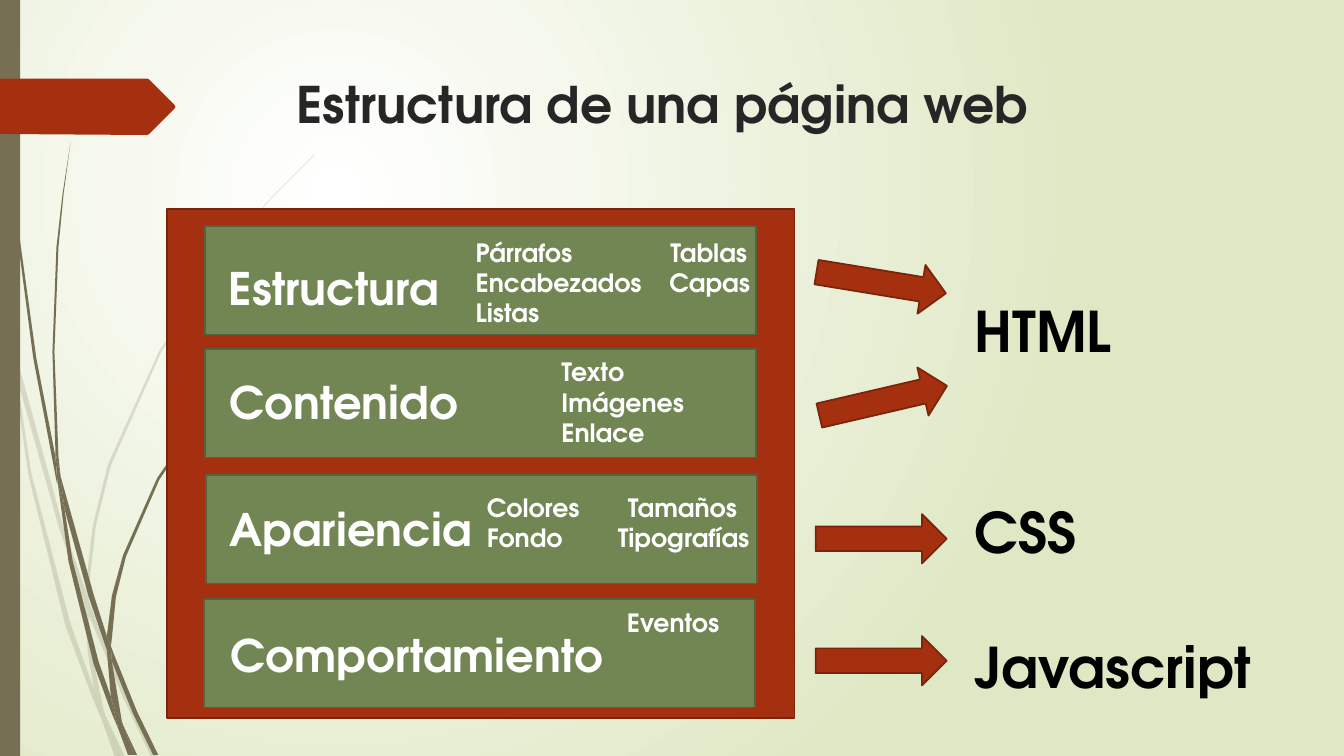
from dataclasses import dataclass

from lxml.etree import SubElement
from pptx import Presentation
from pptx.dml.color import RGBColor
from pptx.enum.shapes import MSO_SHAPE
from pptx.oxml.ns import qn
from pptx.shapes.autoshape import Shape
from pptx.slide import Slide
from pptx.util import Inches, Pt

COLORS = {
    "white": "FFFFFF", "mist": "DFE8C4", "stem": "766F54", "rust": "A53010",
    "rust_edge": "7A240C", "green": "728653", "green_edge": "54633D",
    "title": "262626", "black": "000000",
}
FONT = "TeX Gyre Adventor"


@dataclass
class Block:
    kind: MSO_SHAPE
    left: float
    top: float
    width: float
    height: float
    fill: str
    edge: str = ""
    rotation: float = 0


@dataclass
class Line:
    text: str
    tab: float = 0
    before: int = 0


@dataclass
class Label:
    left: float
    top: float
    width: float
    height: float
    size: int
    color: str
    lines: list[Line]


PALE_STEMS = [
    "0.11,3.5 0.09,3.22 0,2.82 0,2.99 0.1,3.44",
    "0.58,5.22 0.84,5.99 0.85,5.86 0.62,5.2 0.14,3.45 0.17,3.76",
    "0.92,6.07 0.88,5.96 0.88,6.1 1.23,6.94 1.5,7.51 1.55,7.51 1.27,6.92",
    "1.19,7.51 1.24,7.51 1.05,7.11",
    "0.93,6.83 0.7,6.19 0.31,4.69 0.17,3.76 0.11,3.5 0.28,4.7 0.65,6.21 0.92,6.93 1.01,7.14 0.99,7.07",
    "0.84,5.99 0.87,6.46 0.93,6.83 0.96,6.92 1.05,7.11 1.03,7.06 0.91,6.46 0.88,6.1",
    "0.88,5.84 0.95,5.22 1.1,4.62 1.6,3.49 2.29,2.45 2.68,1.98 3.12,1.54 3.12,1.53 "
    "2.68,1.97 2.28,2.44 1.58,3.48 1.07,4.61 0.92,5.22 0.85,5.84 0.88,5.96",
    "1.01,7.14 1.14,7.51 1.19,7.51",
    "0.88,6.08 0.88,5.96 0.85,5.86 0.84,5.99",
    "0.96,6.92 0.93,6.83 0.99,7.07 1.01,7.14 1.19,7.51 1.05,7.11",
]
DARK_STEMS = [
    "0.07,1.1 0.17,2.33 0.33,3.55 0.56,4.77 0.57,4.81 0.55,4.53 0.36,3.55 0.19,2.32 "
    "0.08,1.09 0.05,0.48 0.04,0 0.03,0 0.04,0.48",
    "0.88,5.92 1.06,6.45 1.06,6.31 0.93,5.9 0.6,4.72 0.64,5.05",
    "1.13,6.49 1.1,6.41 1.11,6.56 1.32,7.08 1.52,7.49 1.57,7.49 1.36,7.06",
    "1.1,6.91 0.98,6.57 0.72,5.56 0.64,5.05 0.57,4.77 0.68,5.57 0.93,6.59 1.11,7.08 1.17,7.22 1.16,7.17",
    "0.6,4.72 0.58,4.53 0.54,3.49 0.58,2.45 0.63,1.93 0.7,1.41 0.62,1.93 0.56,2.45 0.52,3.49 0.55,4.49",
    "1.33,7.49 1.36,7.49 1.22,7.19",
    "0.57,4.77 0.64,5.05 0.6,4.72 0.55,4.49 0.55,4.53",
    "1.11,6.33 1.15,5.92 1.25,5.52 1.58,4.76 2.05,4.06 2.31,3.74 2.61,3.44 2.6,3.44 "
    "2.31,3.73 2.04,4.05 1.56,4.74 1.22,5.51 1.11,5.91 1.06,6.31 1.1,6.41",
    "1.17,7.22 1.27,7.49 1.31,7.49",
    "1.06,6.45 1.1,6.91 1.16,7.06 1.22,7.19 1.21,7.16 1.11,6.56 1.09,6.51",
    "1.06,6.45 1.09,6.51 1.11,6.56 1.1,6.41 1.06,6.31",
    "1.16,7.06 1.1,6.91 1.16,7.17 1.17,7.22 1.3,7.49 1.33,7.49 1.22,7.19",
]
BANNER = "0,0.78 1.46,0.78 1.48,0.79 1.73,1.04 1.74,1.06 1.73,1.08 1.48,1.33 1.46,1.34 0,1.33"

SIDEBAR = Block(MSO_SHAPE.RECTANGLE, 0, 0, 0.2, 7.5, "stem")
PANEL = Block(MSO_SHAPE.RECTANGLE, 1.66, 2.07, 6.22, 5.05, "rust", "rust_edge")
BANDS = [Block(MSO_SHAPE.RECTANGLE, left, top, 5.47, 1.08, "green", "green_edge")
         for left, top in [(2.03, 2.24), (2.03, 3.46), (2.04, 4.71), (2.02, 5.94)]]
ARROWS = [Block(MSO_SHAPE.RIGHT_ARROW, left, top, 1.3, 0.49, "rust", "rust_edge", rotation)
          for left, top, rotation in [(8.09, 5.1, 0), (8.09, 6.31, 0), (8.11, 3.73, 346.9), (8.09, 2.56, 9.3)]]
LABELS = [
    Label(2.84, 0.68, 9.75, 1.4, 36, "title", [Line("Estructura de una página web")]),
    Label(9.57, 2.89, 3.28, 4.14, 40, "black",
          [Line("HTML"), Line("CSS", before=96), Line("Javascript", before=48)]),
    Label(2.17, 2.54, 2.39, 0.64, 32, "white", [Line("Estructura")]),
    Label(2.18, 3.67, 2.57, 0.64, 32, "white", [Line("Contenido")]),
    Label(2.18, 4.93, 2.9, 0.64, 32, "white", [Line("Apariencia")]),
    Label(2.19, 6.18, 3.97, 0.64, 32, "white", [Line("Comportamiento")]),
    Label(4.62, 2.3, 3.73, 1.01, 18, "white",
          [Line("Párrafos\tTablas", 1.93), Line("Encabezados\tCapas", 1.92), Line("Listas")]),
    Label(5.47, 3.49, 2.16, 1.01, 18, "white", [Line("Texto"), Line("Imágenes"), Line("Enlace")]),
    Label(4.73, 4.83, 2.93, 1.01, 18, "white",
          [Line("Colores\tTamaños", 1.4), Line("Fondo\tTipografías", 1.3)]),
    Label(6.12, 5.98, 1.38, 0.71, 18, "white", [Line("Eventos")]),
]


def rgb(name: str) -> RGBColor:
    return RGBColor.from_string(COLORS[name])


def paint(sp: Shape, fill: str, edge: str = "") -> None:
    sp.shadow.inherit = False
    sp.fill.solid()
    sp.fill.fore_color.rgb = rgb(fill)
    if edge:
        sp.line.color.rgb = rgb(edge)
        sp.line.width = Pt(1.25)
    else:
        sp.line.fill.background()


def draw_outline(s: Slide, outline: str, fill: str, opacity: int = 100) -> None:
    pairs = (pair.split(",") for pair in outline.split())
    corners = [(Inches(float(x)), Inches(float(y))) for x, y in pairs]
    builder = s.shapes.build_freeform(*corners[0])
    builder.add_line_segments(corners[1:], close=True)
    sp = builder.convert_to_shape()
    paint(sp, fill)
    if opacity < 100:
        color = sp._element.spPr.find(qn("a:solidFill"))[0]
        SubElement(color, qn("a:alpha"), val=str(opacity * 1000))


def draw_block(s: Slide, block: Block) -> None:
    box = map(Inches, (block.left, block.top, block.width, block.height))
    sp = s.shapes.add_shape(block.kind, *box)
    sp.rotation = block.rotation
    paint(sp, block.fill, block.edge)


def draw_label(s: Slide, label: Label) -> None:
    box = map(Inches, (label.left, label.top, label.width, label.height))
    tf = s.shapes.add_textbox(*box).text_frame
    tf.word_wrap = True
    font_format = {"name": FONT, "size": Pt(label.size), "bold": True}
    for i, line in enumerate(label.lines):
        p = tf.add_paragraph() if i else tf.paragraphs[0]
        p.space_before = Pt(line.before)
        if line.tab:
            tabs = SubElement(p._p.get_or_add_pPr(), qn("a:tabLst"))
            SubElement(tabs, qn("a:tab"), pos=str(Inches(line.tab)), algn="l")
        r = p.add_run()
        r.text = line.text
        for name, value in font_format.items():
            setattr(r.font, name, value)
        r.font.color.rgb = rgb(label.color)


def set_background(s: Slide) -> None:
    fill = s.background.fill
    fill.gradient()
    for stop, name, position in zip(fill.gradient_stops, ("white", "mist"), (0, 1)):
        stop.color.rgb = rgb(name)
        stop.position = position
    grad = s._element.find(".//" + qn("a:gradFill"))
    grad.remove(grad.find(qn("a:lin")))
    circle = SubElement(grad, qn("a:path"), path="circle")
    SubElement(circle, qn("a:fillToRect"), l="50000", t="50000", r="100000", b="100000")


def main() -> None:
    prs = Presentation()
    prs.slide_width, prs.slide_height = Inches(13.33), Inches(7.5)
    s = prs.slides.add_slide(prs.slide_layouts[6])
    set_background(s)
    for stems, opacity in ((PALE_STEMS, 20), (DARK_STEMS, 100)):
        for outline in stems:
            draw_outline(s, outline, "stem", opacity)
    draw_block(s, SIDEBAR)
    draw_outline(s, BANNER, "rust")
    for block in [PANEL, *BANDS, *ARROWS]:
        draw_block(s, block)
    for label in LABELS:
        draw_label(s, label)
    prs.save("out.pptx")


if __name__ == "__main__":
    main()
